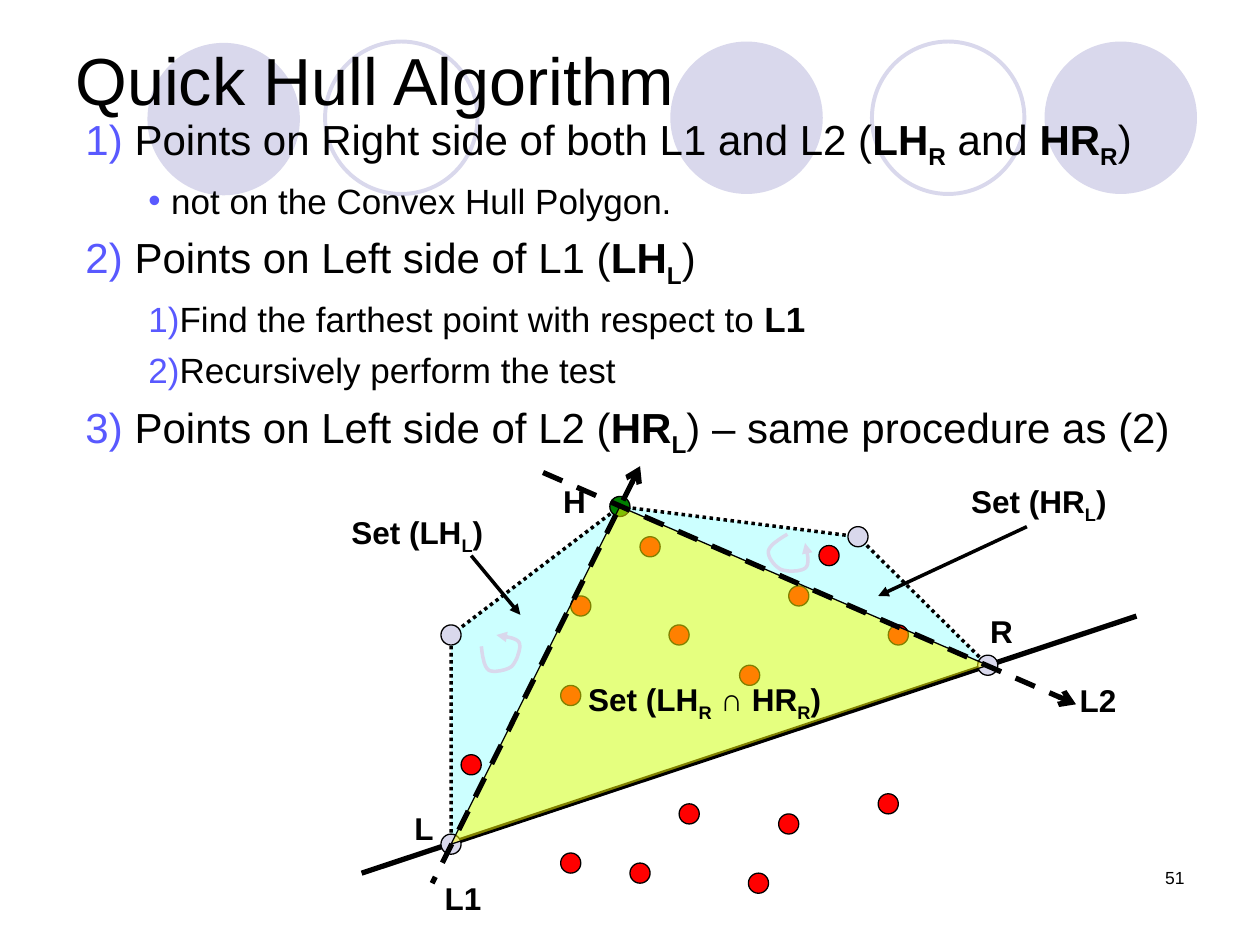
from dataclasses import dataclass
from typing import NamedTuple

from lxml.etree import SubElement
from pptx import Presentation
from pptx.dml.color import RGBColor
from pptx.enum.dml import MSO_LINE
from pptx.enum.shapes import MSO_CONNECTOR, MSO_SHAPE
from pptx.enum.text import MSO_ANCHOR, MSO_AUTO_SIZE, PP_ALIGN
from pptx.oxml.ns import qn
from pptx.util import Emu, Pt

SCALE = 9144
FINE = 10


@dataclass(frozen=True)
class Theme:
    font: str = "Arial"
    ink: str = "000000"
    pale: str = "D9D8EC"
    mark: str = "5959FF"
    aqua: str = "CCFFFF"
    yellow: str = "FFFF00"
    green: str = "008000"
    red: str = "FF0000"
    title: int = 38
    lead: int = 24
    sub: int = 20
    label: int = 18
    page: int = 10


THEME = Theme()


class Box(NamedTuple):
    x: int
    y: int
    w: int
    h: int


class Bit(NamedTuple):
    text: str
    bold: bool = False
    low: bool = False


class Item(NamedTuple):
    bits: list[Bit]
    level: int = 0
    dot: bool = False


class Label(NamedTuple):
    box: Box
    bits: list[Bit]


class Pen(NamedTuple):
    color: str = THEME.ink
    width: float = 0.75
    dash: MSO_LINE | None = None
    head: str = ""
    tail: str = ""


class Ray(NamedTuple):
    start: tuple[int, int]
    end: tuple[int, int]
    pen: Pen


def px(num: int) -> Emu:
    return Emu(num * SCALE)


def place(box: Box) -> list[Emu]:
    return [px(num) for num in box]


def ink_line(shape, pen: Pen) -> None:
    line = shape.line
    line.fill.solid()
    line.fill.fore_color.rgb = RGBColor.from_string(pen.color)
    line.width = Pt(pen.width)
    if pen.dash:
        line.dash_style = pen.dash
    node = shape._element.spPr.find(qn("a:ln"))
    for tag, kind in (("a:headEnd", pen.head), ("a:tailEnd", pen.tail)):
        if kind:
            SubElement(node, qn(tag), type=kind)


def style(shape, fill: str = "", pen: Pen | None = None, alpha: int = 100) -> None:
    shape.shadow.inherit = False
    if fill:
        shape.fill.solid()
        shape.fill.fore_color.rgb = RGBColor.from_string(fill)
        if alpha < 100:
            node = shape._element.spPr.find(qn("a:solidFill"))
            SubElement(node[0], qn("a:alpha"), val=str(alpha * 1000))
    else:
        shape.fill.background()
    if pen:
        ink_line(shape, pen)
    else:
        shape.line.fill.background()


def draw_disc(slide, box: Box, fill: str = "", pen: Pen | None = None) -> None:
    style(slide.shapes.add_shape(MSO_SHAPE.OVAL, *place(box)), fill, pen)


def draw_ray(slide, ray: Ray) -> None:
    ends = [px(num) for num in (*ray.start, *ray.end)]
    line = slide.shapes.add_connector(MSO_CONNECTOR.STRAIGHT, *ends)
    ink_line(line, ray.pen)
    SubElement(line._element.spPr, qn("a:effectLst"))


def draw_shape(slide, points, pen: Pen, fill: str = "", alpha: int = 100) -> None:
    grid = [(x * FINE, y * FINE) for x, y in points]
    build = slide.shapes.build_freeform(*grid[0], scale=SCALE / FINE)
    build.add_line_segments(grid[1:], close=bool(fill))
    style(build.convert_to_shape(), fill, pen, alpha)


def bend(knots: list[tuple[int, int]], steps: int = 12) -> list[tuple[float, float]]:
    points = [knots[0]]
    for first in range(0, len(knots) - 1, 3):
        curve = knots[first:first + 4]
        for step in range(1, steps + 1):
            t = step / steps
            parts = ((1 - t) ** 3, 3 * t * (1 - t) ** 2, 3 * t * t * (1 - t), t ** 3)
            points.append(tuple(sum(part * knot[axis] for part, knot in zip(parts, curve))
                                for axis in (0, 1)))
    return points


def write(para, bits: list[Bit], size: int) -> None:
    para.text = bits[0].text
    for bit in bits[1:]:
        para.add_run().text = bit.text
    for run, bit in zip(para.runs, bits):
        font = run.font
        font.name, font.size, font.bold = THEME.font, Pt(size), bit.bold
        font.color.rgb = RGBColor.from_string(THEME.ink)
        if bit.low:
            font._element.set("baseline", "-25000")


def add_text(slide, box: Box, bits: list[Bit], size: int, wrap: bool = True):
    frame = slide.shapes.add_textbox(*place(box)).text_frame
    frame.word_wrap = wrap
    frame.auto_size = MSO_AUTO_SIZE.NONE if wrap else MSO_AUTO_SIZE.SHAPE_TO_FIT_TEXT
    write(frame.paragraphs[0], bits, size)
    return frame


def add_list(slide, box: Box, items: list[Item]) -> None:
    frame = slide.shapes.add_textbox(*place(box)).text_frame
    frame.word_wrap = True
    for rank, item in enumerate(items):
        para = frame.add_paragraph() if rank else frame.paragraphs[0]
        para.level = item.level
        left, hang = ((39, 39), (68, 18))[item.level]
        props = para._p.get_or_add_pPr()
        props.set("marL", str(px(left)))
        props.set("indent", str(px(-hang)))
        SubElement(SubElement(props, qn("a:buClr")), qn("a:srgbClr"), val=THEME.mark)
        SubElement(props, qn("a:buFont"), typeface=THEME.font)
        if item.dot:
            SubElement(props, qn("a:buChar"), char="•")
        else:
            SubElement(props, qn("a:buAutoNum"), type="arabicParenR")
        if rank:
            para.space_before = Pt(5 if item.level else 6)
        write(para, item.bits, THEME.sub if item.level else THEME.lead)


def pair(name: str, side: str) -> list[Bit]:
    return [Bit(name, True), Bit(side, True, True)]


ITEMS = [
    Item([Bit("Points on Right side of both L1 and L2 ("), *pair("LH", "R"),
          Bit(" and "), *pair("HR", "R"), Bit(")")]),
    Item([Bit("not on the Convex Hull Polygon.")], 1, True),
    Item([Bit("Points on Left side of L1 ("), *pair("LH", "L"), Bit(")")]),
    Item([Bit("Find the farthest point with respect to "), Bit("L1", True)], 1),
    Item([Bit("Recursively perform the test")], 1),
    Item([Bit("Points on Left side of L2 ("), *pair("HR", "L"),
          Bit(") – same procedure as (2)")]),
]
CLOSE = Bit(")", True)
LABELS = [
    Label(Box(319, 637, 35, 40), [Bit("L", True)]),
    Label(Box(776, 481, 38, 40), [Bit("R", True)]),
    Label(Box(437, 378, 38, 40), [Bit("H", True)]),
    Label(Box(761, 378, 140, 44), [*pair("Set (HR", "L"), CLOSE]),
    Label(Box(457, 535, 215, 44), [*pair("Set (LH", "R"), *pair(" ∩ HR", "R"), CLOSE]),
    Label(Box(269, 402, 140, 44), [*pair("Set (LH", "L"), CLOSE]),
    Label(Box(343, 693, 49, 40), [Bit("L1", True)]),
    Label(Box(847, 536, 49, 40), [Bit("L2", True)]),
]
LOW, RIGHT, FAR, TOP, LEFT = (358, 670), (784, 528), (681, 426), (492, 402), (358, 504)
BASE = Ray((287, 693), (902, 489), Pen(width=3))
RAYS = [
    Ray((431, 375), (854, 559), Pen(width=3, dash=MSO_LINE.DASH, tail="arrow")),
    Ray((508, 370), (343, 701), Pen(width=3, dash=MSO_LINE.DASH, head="arrow")),
    Ray((815, 418), (697, 473), Pen(width=2, tail="triangle")),
    Ray((374, 441), (413, 488), Pen(width=2, tail="triangle")),
]
TURNS = [
    [(382, 513), (383, 521), (384, 529), (388, 532), (392, 534), (402, 532), (406, 529),
     (410, 525), (414, 514), (412, 510), (410, 506), (399, 505), (394, 504)],
    [(625, 424), (618, 428), (611, 433), (610, 437), (609, 442), (615, 450), (620, 452),
     (625, 454), (637, 454), (640, 450), (643, 446), (640, 436), (639, 431)],
]
DOTS = {
    THEME.pale: [(350, 662), (350, 496), (673, 418), (776, 520)],
    THEME.green: [(484, 394)],
    THEME.red: [(453, 473), (618, 646), (508, 426), (626, 465), (366, 599), (650, 433),
                (705, 496), (445, 544), (539, 638), (531, 496), (587, 528), (697, 630),
                (500, 685), (594, 693), (445, 677)],
}


def main() -> None:
    deck = Presentation()
    deck.slide_width, deck.slide_height = px(1000), px(750)
    slide = deck.slides.add_slide(deck.slide_layouts[6])
    for x, y in ((532, 33), (829, 33), (117, 34)):
        draw_disc(slide, Box(x, y, 121, 121), THEME.pale)
    for x in (692, 258):
        draw_disc(slide, Box(x, 33, 121, 121), pen=Pen(THEME.pale, 2.25))
    page = add_text(slide, Box(717, 683, 233, 50), [Bit("51")], THEME.page)
    page.paragraphs[0].alignment = PP_ALIGN.RIGHT
    title = add_text(slide, Box(50, 0, 900, 125), [Bit("Quick Hull Algorithm")], THEME.title)
    title.vertical_anchor = MSO_ANCHOR.MIDDLE
    add_list(slide, Box(58, 85, 882, 543), ITEMS)

    hull = [LOW, RIGHT, FAR, TOP, LEFT]
    draw_shape(slide, hull, Pen(width=2, dash=MSO_LINE.ROUND_DOT), THEME.aqua)
    draw_ray(slide, BASE)
    for color, spots in DOTS.items():
        for x, y in spots:
            draw_disc(slide, Box(x, y, 16, 16), color, Pen())
    draw_shape(slide, [TOP, LOW, RIGHT], Pen(), THEME.yellow, 50)
    for ray in RAYS:
        draw_ray(slide, ray)
    for knots in TURNS:
        draw_shape(slide, bend(knots), Pen(THEME.pale, 2, tail="triangle"))
    for label in LABELS:
        add_text(slide, label.box, label.bits, THEME.label, False)
    deck.save("out.pptx")


if __name__ == "__main__":
    main()
